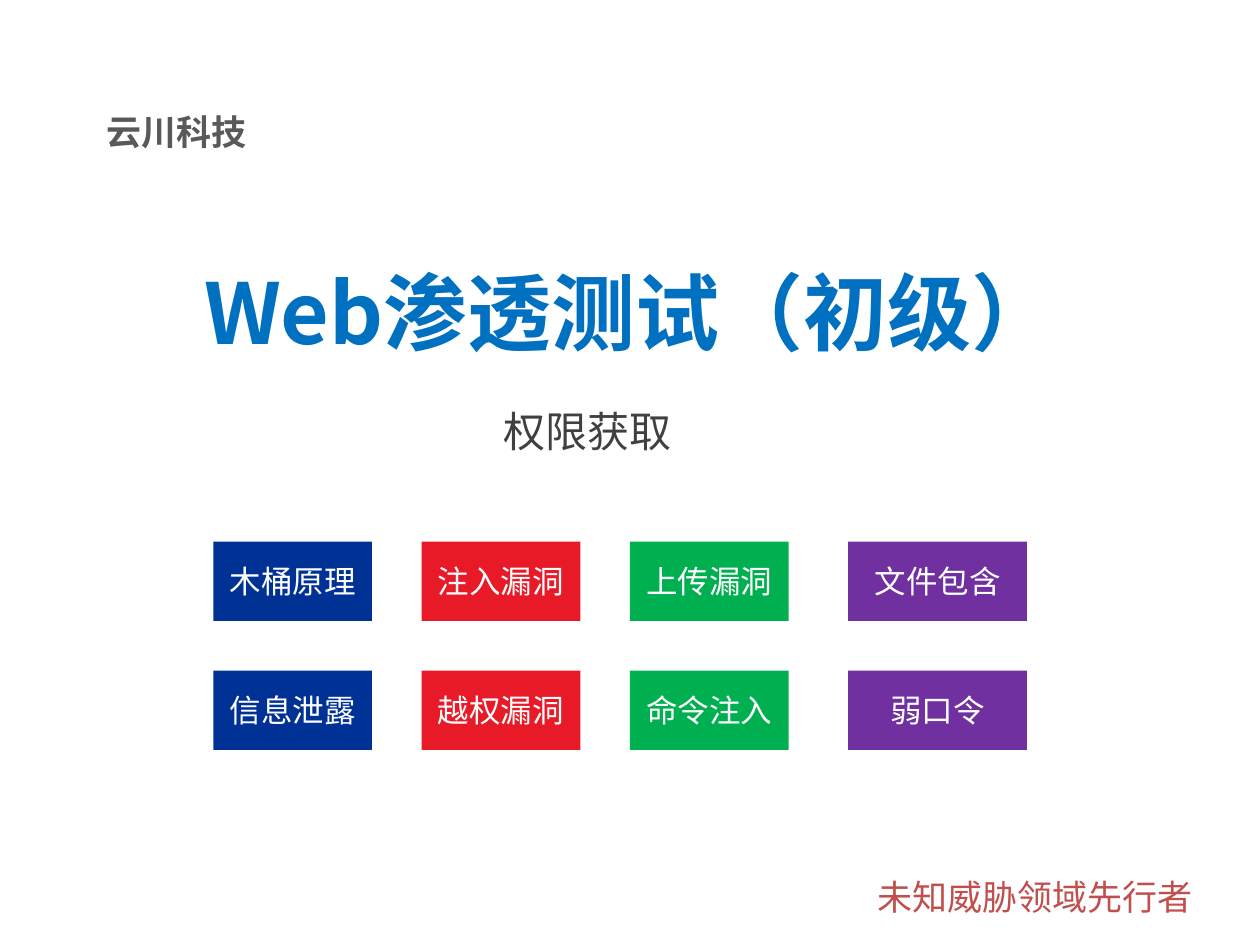
from pptx import Presentation
from pptx.dml.color import RGBColor as Rgb
from pptx.enum.shapes import MSO_SHAPE as Form
from pptx.enum.text import MSO_ANCHOR as Anchor, PP_ALIGN as Align
from pptx.oxml.ns import qn
from pptx.util import Cm, Pt
from lxml.etree import SubElement as Sub

FONT = "Noto Sans CJK SC"
HUES = {
    "navy": "003296", "red": "E91A28", "green": "00B050", "plum": "7030A0",
    "blue": "0070C0", "gray": "595959", "dark": "404040", "rust": "C0504D",
    "white": "FFFFFF",
}
TOPICS = [
    ("navy", 0, 3.2, ("木桶原理", "信息泄露")),
    ("red", 4.2, 3.2, ("注入漏洞", "越权漏洞")),
    ("green", 8.4, 3.2, ("上传漏洞", "命令注入")),
    ("plum", 12.8, 3.6, ("文件包含", "弱口令")),
]


def hue(name):
    return Rgb.from_string(HUES[name])


def write(frame, text, size, color, align=Align.CENTER, bold=False,
          face=FONT, wrap=True, anchor=Anchor.MIDDLE):
    frame.word_wrap = wrap
    frame.vertical_anchor = anchor
    para = frame.paragraphs[0]
    para.alignment = align
    run = para.add_run()
    run.text = text
    font = run.font
    font.size, font.bold, font.name = Pt(size), bold, face
    font.color.rgb = hue(color)
    Sub(run._r.get_or_add_rPr(), qn("a:ea"), typeface=FONT)


def label(slide, box, text, size, color, **style):
    area = slide.shapes.add_textbox(*map(Cm, box))
    write(area.text_frame, text, size, color, **style)


def head(slide, box):
    title = slide.shapes.title
    title.left, title.top, title.width, title.height = map(Cm, box)
    write(title.text_frame, "Web渗透测试（初级）", 48, "blue", bold=True)


def tile(slide, box, text, color):
    rect = slide.shapes.add_shape(Form.RECTANGLE, *map(Cm, box))
    rect.shadow.inherit = False
    rect.fill.solid()
    rect.fill.fore_color.rgb = hue(color)
    rect.line.fill.background()
    write(rect.text_frame, text, 18, "white")


def grid(slide, left, top, high=1.6, step=2.6):
    for color, shift, wide, names in TOPICS:
        for row, name in enumerate(names):
            box = (left + shift, top + row * step, wide, high)
            tile(slide, box, name, color)


def main():
    deck = Presentation()
    deck.slide_width, deck.slide_height = Cm(25.4), Cm(19.05)
    slide = deck.slides.add_slide(deck.slide_layouts[5])
    label(slide, (1.9, 1.93, 3.6, 1.45), "云川科技", 20, "gray",
          align=Align.LEFT, bold=True)
    label(slide, (17.17, 17.53, 7.4, 1.07), "未知威胁领域先行者", 20, "rust")
    head(slide, (2, 4.72, 21.4, 3.1))
    label(slide, (9.9, 8.05, 3.89, 1.27), "权限获取", 24, "dark",
          align=Align.LEFT, face="Arial", wrap=False, anchor=Anchor.TOP)
    grid(slide, 4.3, 10.92)
    deck.save("out.pptx")


if __name__ == "__main__":
    main()
